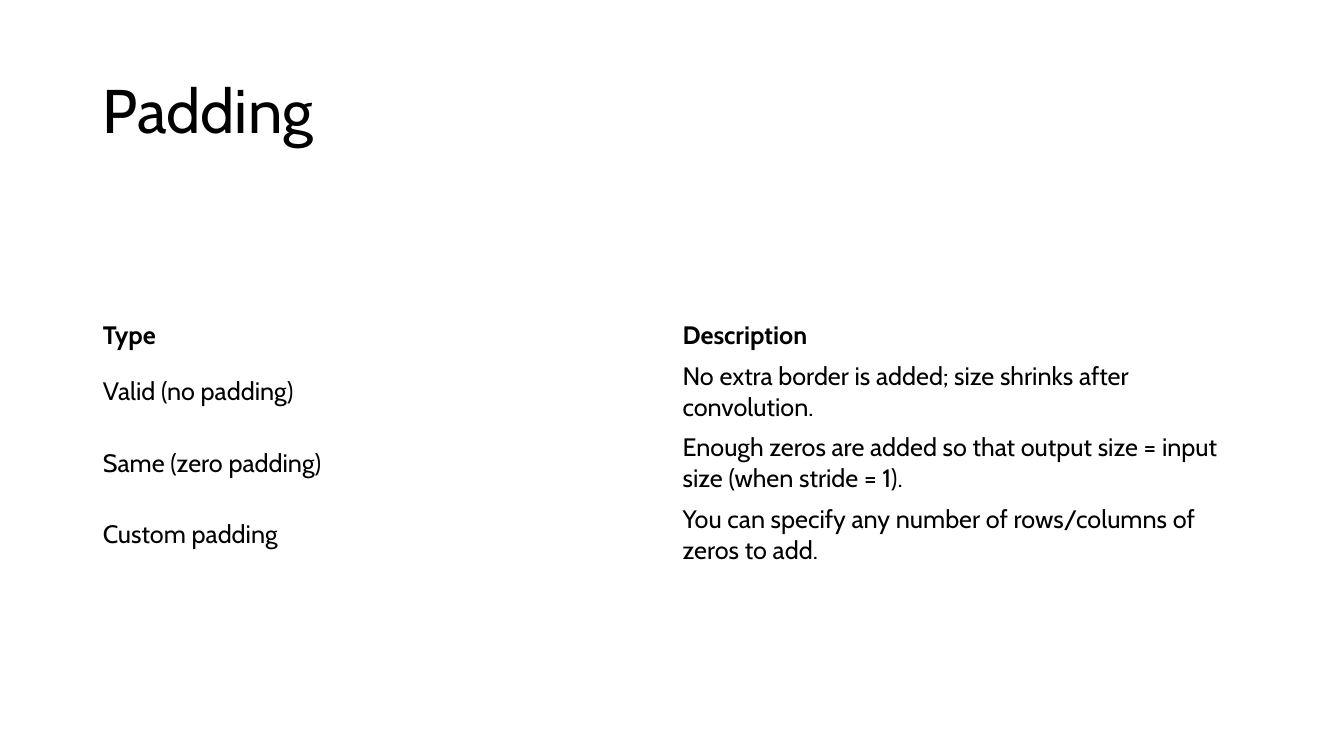
from pptx import Presentation
from pptx.dml.color import RGBColor
from pptx.enum.text import MSO_ANCHOR
from pptx.util import Inches, Pt

BLACK = RGBColor(0x00, 0x00, 0x00)
LEFT, WIDTH = 0.92, 11.5
HEADER_HEIGHT, ROW_HEIGHT = 0.4, 0.71

PADDING_TYPES = [
    ("Type", "Description"),
    ("Valid (no padding)", "No extra border is added; size shrinks after convolution."),
    ("Same (zero padding)",
     "Enough zeros are added so that output size = input size (when stride = 1)."),
    ("Custom padding", "You can specify any number of rows/columns of zeros to add."),
]


class SlideBuilder:
    font_name = "Cabin"
    color = BLACK

    def __init__(self, slide):
        self.slide = slide

    def set_text(self, text_frame, text, size, bold=False):
        text_frame.text = text
        font = text_frame.paragraphs[0].runs[0].font
        font.name = self.font_name
        font.size = Pt(size)
        font.bold = bold
        font.color.rgb = self.color

    def add_title(self, text, top, height):
        shape = self.slide.shapes.add_textbox(
            Inches(LEFT), Inches(top), Inches(WIDTH), Inches(height))
        text_frame = shape.text_frame
        text_frame.word_wrap = True
        text_frame.vertical_anchor = MSO_ANCHOR.MIDDLE
        self.set_text(text_frame, text, 44)
        text_frame.paragraphs[0].line_spacing = 0.9

    def add_table(self, rows, top):
        height = HEADER_HEIGHT + ROW_HEIGHT * (len(rows) - 1)
        table = self.slide.shapes.add_table(
            len(rows), len(rows[0]), Inches(LEFT), Inches(top),
            Inches(WIDTH), Inches(height)).table
        table.first_row = False
        table.horz_banding = False
        for row_index, texts in enumerate(rows):
            is_header = row_index == 0
            table.rows[row_index].height = Inches(HEADER_HEIGHT if is_header else ROW_HEIGHT)
            for column_index, text in enumerate(texts):
                cell = table.cell(row_index, column_index)
                cell.fill.background()
                cell.vertical_anchor = MSO_ANCHOR.MIDDLE
                self.set_text(cell.text_frame, text, 18, bold=is_header)


def main():
    presentation = Presentation()
    presentation.slide_width = Inches(13.33)
    presentation.slide_height = Inches(7.5)
    builder = SlideBuilder(presentation.slides.add_slide(presentation.slide_layouts[6]))
    builder.add_title("Padding", 0.4, 1.45)
    builder.add_table(PADDING_TYPES, 3.13)
    presentation.save("out.pptx")


if __name__ == "__main__":
    main()
